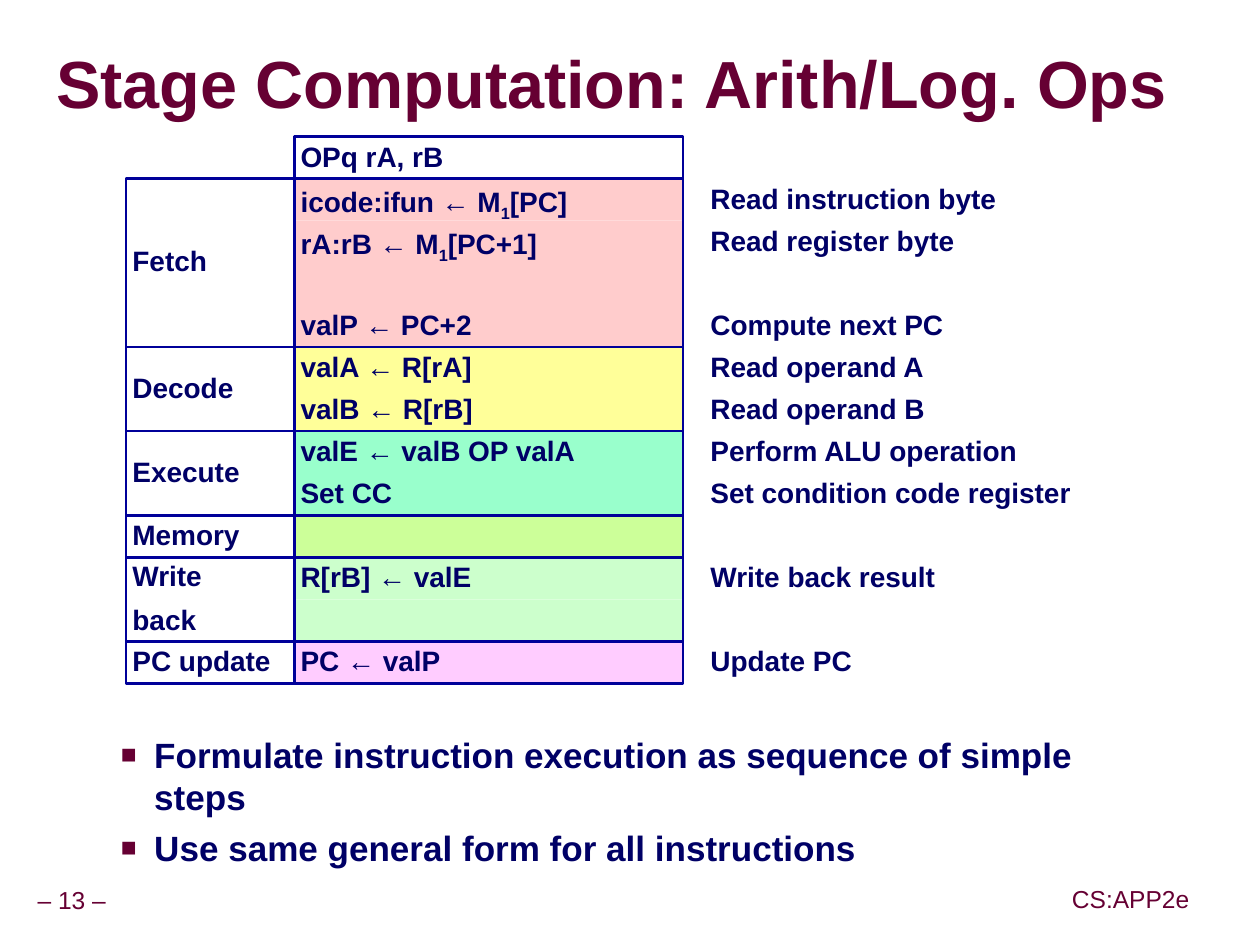
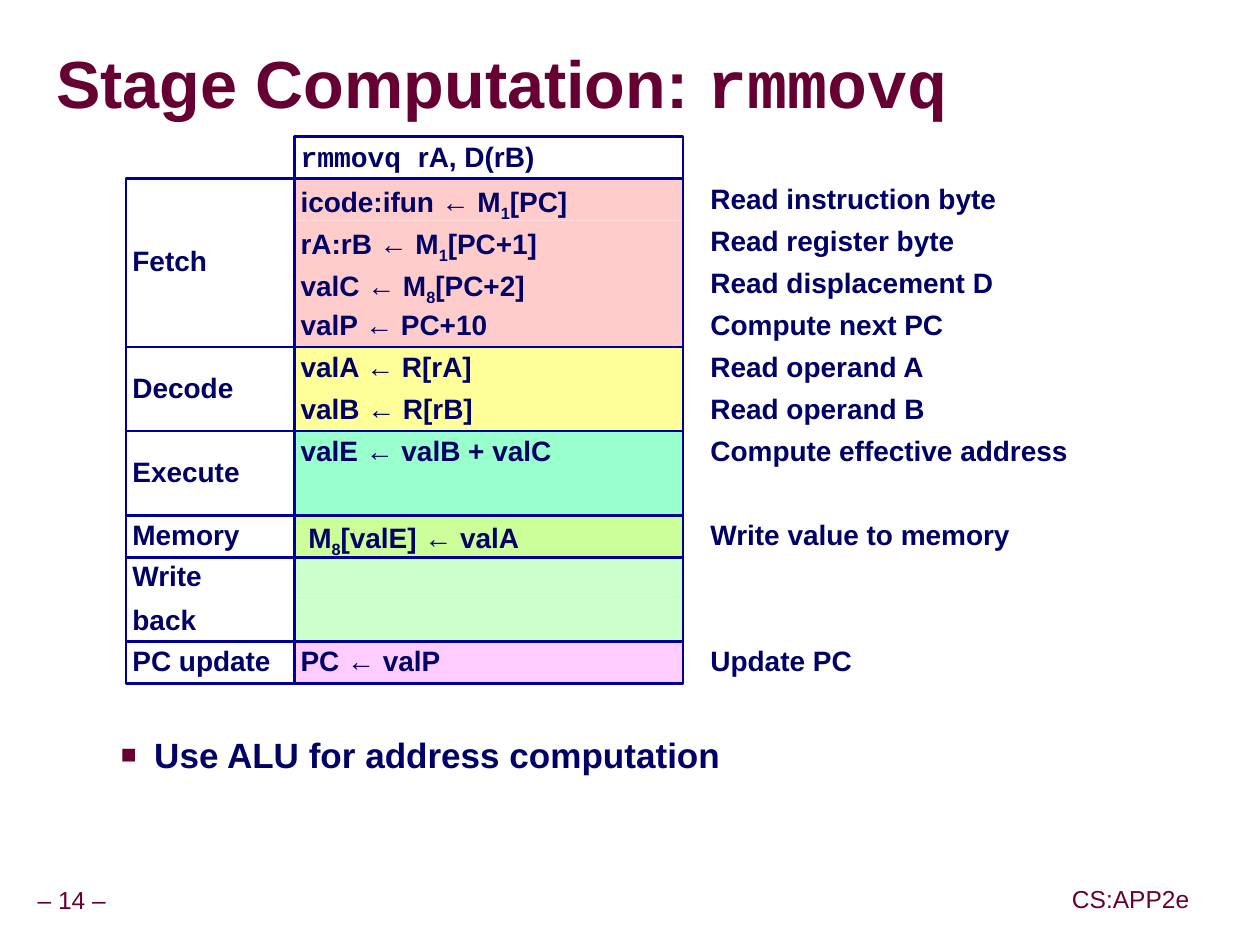
"""Builds two slides that tabulate the stages of instruction execution."""
import lxml.etree
import pptx
import pptx.dml.color
import pptx.enum.shapes
import pptx.enum.text
import pptx.oxml
import pptx.oxml.ns
import pptx.util

Pt = pptx.util.Pt
ALIGN = pptx.enum.text.PP_ALIGN
ANCHOR = pptx.enum.text.MSO_ANCHOR
COLORS = {
    "maroon": "660033", "navy": "000066", "outline": "000099", "shadow": "969696",
    "pink": "FFCCCC", "yellow": "FFFF99", "aqua": "99FFCC",
    "lime": "CCFF99", "mint": "CCFFCC", "lilac": "FFCCFF",
}
STAGES = [
    ("Fetch", 4, "pink"), ("Decode", 2, "yellow"), ("Execute", 2, "aqua"),
    ("Memory", 1, "lime"), ("Write\nback", 2, "mint"), ("PC update", 1, "lilac"),
]
SLIDES = [
    {
        "number": 13,
        "title": "Stage Computation: Arith/Log. Ops",
        "instruction": "OPq rA, rB",
        "steps": [
            ("icode:ifun ← M~1~[PC]", "Read instruction byte"),
            ("rA:rB ← M~1~[PC+1]", "Read register byte"),
            ("", ""),
            ("valP ← PC+2", "Compute next PC"),
            ("valA ← R[rA]", "Read operand A"),
            ("valB ← R[rB]", "Read operand B"),
            ("valE ← valB OP valA", "Perform ALU operation"),
            ("Set CC", "Set condition code register"),
            ("", ""),
            ("R[rB] ← valE", "Write back result"),
            ("", ""),
            ("PC ← valP", "Update PC"),
        ],
        "points": "Formulate instruction execution as sequence of simple steps\n"
                  "Use same general form for all instructions",
    },
    {
        "number": 14,
        "title": "Stage Computation: `rmmovq`",
        "instruction": "`rmmovq `rA, D(rB)",
        "steps": [
            ("icode:ifun ← M~1~[PC]", "Read instruction byte"),
            ("rA:rB ← M~1~[PC+1]", "Read register byte"),
            ("valC ← M~8~[PC+2]", "Read displacement D"),
            ("valP ← PC+10", "Compute next PC"),
            ("valA ← R[rA]", "Read operand A"),
            ("valB ← R[rB]", "Read operand B"),
            ("valE ← valB + valC", "Compute effective address"),
            ("", ""),
            (" M~8~[valE] ← valA", "Write value to memory"),
            ("", ""),
            ("", ""),
            ("PC ← valP", "Update PC"),
        ],
        "points": "Use ALU for address computation",
    },
]


def rgb(name):
    """Return the named colour."""
    return pptx.dml.color.RGBColor.from_string(COLORS[name])


def add_xml(parent, markup):
    """Append one drawing element written as markup."""
    namespace = pptx.oxml.ns.nsdecls("a")
    tag, rest = markup[:-1].split(" ", 1) if " " in markup else (markup[:-1], "")
    parent.append(pptx.oxml.parse_xml(f"{tag} {namespace} {rest}>"))


def write(frame, text, size=16, color="navy", bold=True, align=ALIGN.LEFT,
          anchor=ANCHOR.TOP, inset=3.6, wrap=True, leading=0.9, gap=8,
          bullet=False, shadow=False):
    """Fill a text frame, with ~subscript~ and `code` marks."""
    frame.word_wrap = wrap
    frame.auto_size = pptx.enum.text.MSO_AUTO_SIZE.NONE
    frame.vertical_anchor = anchor
    frame.margin_left = frame.margin_right = Pt(inset)
    frame.margin_top = frame.margin_bottom = Pt(min(inset, 3.6))
    for index, line in enumerate(text.split("\n")):
        paragraph = frame.add_paragraph() if index else frame.paragraphs[0]
        paragraph.alignment = align
        paragraph.line_spacing = leading
        paragraph.space_before = Pt(gap if index else 0)
        if bullet:
            properties = paragraph._p.get_or_add_pPr()
            properties.set("marL", str(Pt(58)))
            properties.set("indent", str(Pt(-19)))
            add_xml(properties, f'<a:buClr ><a:srgbClr val="{COLORS["maroon"]}"/></a:buClr>')
            add_xml(properties, '<a:buSzPct val="75000"/>')
            add_xml(properties, '<a:buFont typeface="Arial"/>')
            add_xml(properties, '<a:buChar char="■"/>')
        for level, part in enumerate(line.split("~")):
            for kind, piece in enumerate(part.split("`")):
                if not piece:
                    continue
                run = paragraph.add_run()
                run.text = piece
                font = run.font
                font.size = Pt(size)
                font.bold = bold
                font.color.rgb = rgb(color)
                if shadow:
                    add_xml(font._element,
                            '<a:effectLst ><a:outerShdw dist="38100" dir="2700000">'
                            f'<a:srgbClr val="{COLORS["shadow"]}"/>'
                            '</a:outerShdw></a:effectLst>')
                font.name = "Courier New" if kind % 2 else "Arial"
                if level % 2:
                    font._element.set("baseline", "-25000")


class Deck:
    """Holds the shared style and the current slide."""

    row = 24
    top = 78
    stage_left, stage_width = 72, 96
    step_left, step_width = 168, 222
    comment_left = 402

    def __init__(self):
        """Start an empty presentation."""
        self.presentation = pptx.Presentation()
        self.presentation.slide_width = Pt(719.28)
        self.presentation.slide_height = Pt(539.28)
        self.slide = None

    def start(self, title, number):
        """Add a slide with its title and footers."""
        self.slide = self.presentation.slides.add_slide(self.presentation.slide_layouts[5])
        shape = self.slide.shapes.title
        shape.left, shape.top, shape.width, shape.height = map(Pt, (32, 19.5, 685, 61))
        write(shape.text_frame, title, size=38, color="maroon", anchor=ANCHOR.MIDDLE,
              inset=0, leading=0.87, shadow=True)
        footer = dict(size=14, color="maroon", bold=False, align=ALIGN.CENTER,
                      anchor=ANCHOR.MIDDLE, wrap=False)
        self.label(f"– {number} –", 17, 503.5, 48, 22, **footer)
        self.label("CS:APP2e", 608, 503, 75, 22, **footer)

    def label(self, text, left, top, width, height, **style):
        """Add plain text."""
        shape = self.slide.shapes.add_textbox(*map(Pt, (left, top, width, height)))
        write(shape.text_frame, text, **style)

    def box(self, text, left, top, width, height, fill=None, outline=True, **style):
        """Add a rectangle with optional fill and outline."""
        shape = self.slide.shapes.add_shape(
            pptx.enum.shapes.MSO_SHAPE.RECTANGLE, *map(Pt, (left, top, width, height)))
        shape.shadow.inherit = False
        if fill:
            shape.fill.solid()
            shape.fill.fore_color.rgb = rgb(fill)
        else:
            shape.fill.background()
        if outline:
            shape.line.color.rgb = rgb("outline")
            shape.line.width = Pt(1.5)
        else:
            shape.line.fill.background()
        if text:
            write(shape.text_frame, text, **style)

    def stage(self, name, top, steps, fill):
        """Add one stage with its steps and comments."""
        height = self.row * len(steps)
        single = len(steps) == 1
        for index, (step, comment) in enumerate(steps):
            row_top = top + index * self.row
            self.box(step, self.step_left, row_top, self.step_width, self.row,
                     fill=fill, outline=single)
            if comment:
                self.label(comment, self.comment_left, row_top, self.step_width, self.row)
        if not single:
            self.box("", self.step_left, top, self.step_width, height)
        self.box(name, self.stage_left, top, self.stage_width, height, anchor=ANCHOR.MIDDLE)

    def stages(self, instruction, steps):
        """Add the instruction heading and all its stages."""
        self.box(instruction, self.step_left, self.top, self.step_width, self.row)
        first = 0
        for name, count, fill in STAGES:
            self.stage(name, self.top + self.row * (first + 1),
                       steps[first:first + count], fill)
            first += count

    def bullets(self, text):
        """Add the bulleted points below the stages."""
        self.label(text, 23, 415, 653, 92, size=20, inset=7.2, leading=1.0, gap=5,
                   bullet=True)


def main():
    """Build and save the presentation."""
    deck = Deck()
    for content in SLIDES:
        deck.start(content["title"], content["number"])
        deck.stages(content["instruction"], content["steps"])
        deck.bullets(content["points"])
    deck.presentation.save("out.pptx")


if __name__ == "__main__":
    main()
